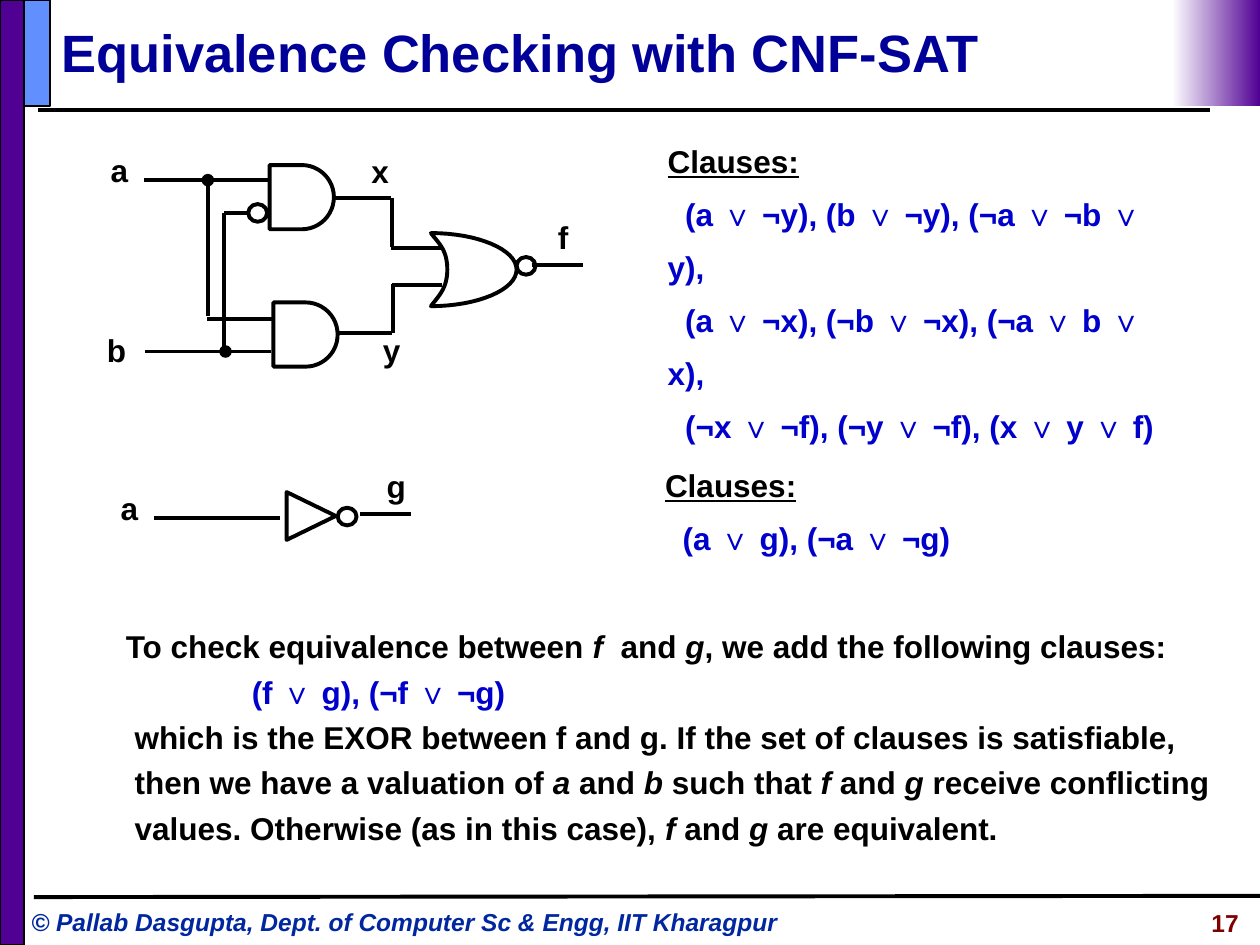
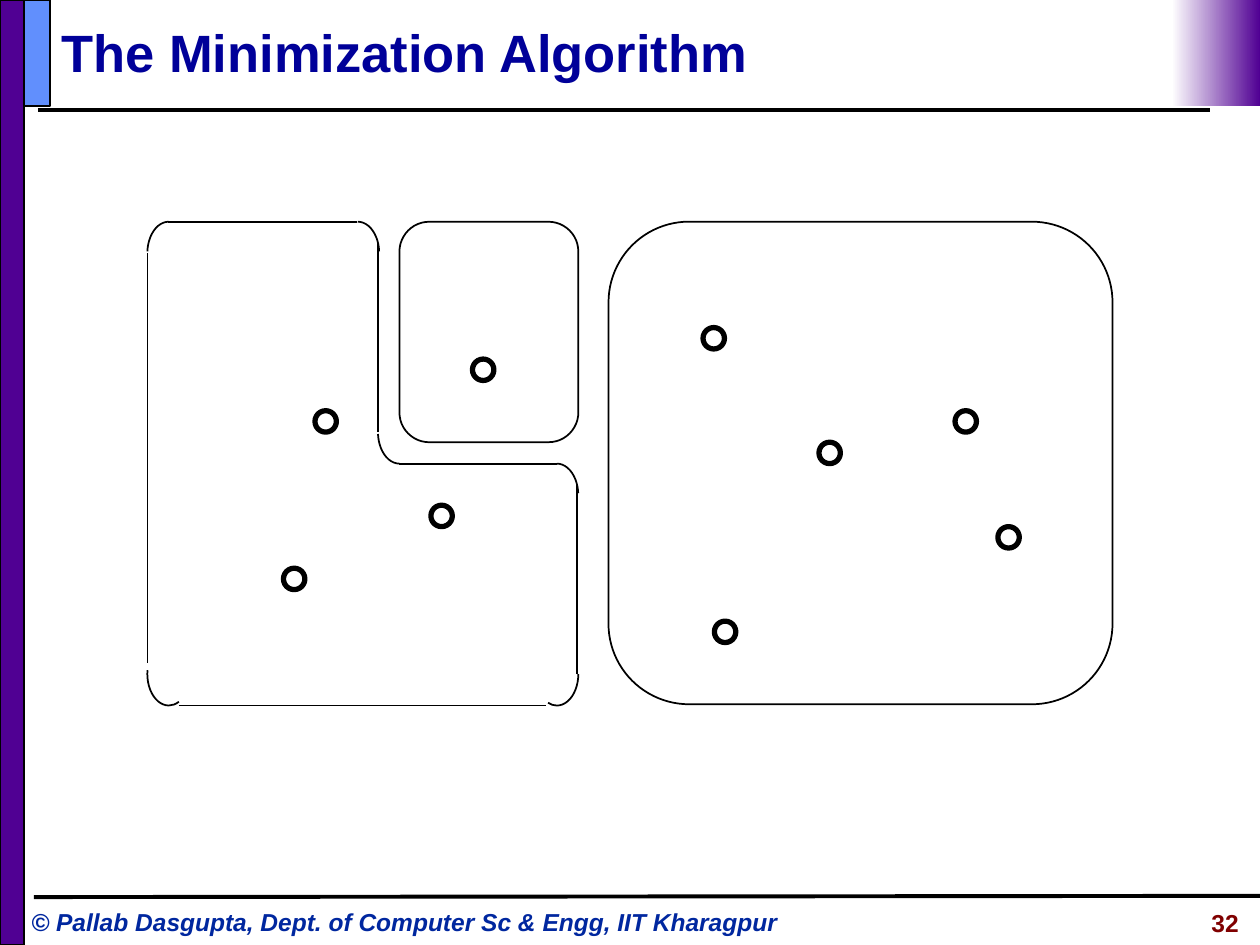
from pptx import Presentation
from pptx.dml.color import RGBColor
from pptx.enum.shapes import MSO_CONNECTOR, MSO_SHAPE
from pptx.enum.text import MSO_ANCHOR, MSO_AUTO_SIZE, PP_ALIGN
from pptx.oxml.ns import qn
from pptx.util import Inches, Pt
from lxml.etree import SubElement

BLACK = RGBColor(0x00, 0x00, 0x00)
WHITE = RGBColor(0xFF, 0xFF, 0xFF)
PURPLE = RGBColor(0x50, 0x00, 0x93)
SKY = RGBColor(0x61, 0x8F, 0xFD)
NAVY = RGBColor(0x00, 0x00, 0x99)
BLUE = RGBColor(0x00, 0x00, 0xCC)
FOOT = RGBColor(0x00, 0x27, 0x9F)
MAROON = RGBColor(0x80, 0x00, 0x00)
FONT = "Arial"
WIRE = 2.25


def add_box(slide, box, wrap=True, grow=True, anchor=MSO_ANCHOR.TOP):
    frame = slide.shapes.add_textbox(*map(Inches, box)).text_frame
    frame.word_wrap = wrap
    frame.auto_size = MSO_AUTO_SIZE.SHAPE_TO_FIT_TEXT if grow else MSO_AUTO_SIZE.NONE
    frame.vertical_anchor = anchor
    return frame


def add_text(frame, words, size=18, color=BLACK, italic=False, under=False,
             align=PP_ALIGN.LEFT, space=None, left=0, first=0):
    para = frame.paragraphs[0]
    if para.runs:
        para = frame.add_paragraph()
    para.alignment = align
    if space:
        para.line_spacing = space
    if left or first:
        props = para._p.get_or_add_pPr()
        props.set("marL", str(Inches(left)))
        props.set("indent", str(Inches(first)))
    for spot, part in enumerate(words.split("*")):
        run = para.add_run()
        run.text = part
        font = run.font
        font.name, font.size, font.bold = FONT, Pt(size), True
        font.italic = italic or spot % 2 == 1
        font.underline = under
        font.color.rgb = color


def style(shape, fill=None, width=None):
    shape.shadow.inherit = False
    if fill is None:
        shape.fill.background()
    else:
        shape.fill.solid()
        shape.fill.fore_color.rgb = fill
    if width is None:
        shape.line.fill.background()
    else:
        shape.line.color.rgb = BLACK
        shape.line.width = Pt(width)
    return shape


def add_shape(slide, kind, box, fill=None, width=None):
    return style(slide.shapes.add_shape(kind, *map(Inches, box)), fill, width)


def add_line(slide, start, end, width=WIRE):
    line = slide.shapes.add_connector(
        MSO_CONNECTOR.STRAIGHT, *map(Inches, (*start, *end)))
    line.line.color.rgb = BLACK
    line.line.width = Pt(width)
    SubElement(line._element.spPr, qn("a:effectLst"))


def add_arc(slide, center, start, end):
    x, y = center
    arc = add_shape(slide, MSO_SHAPE.ARC, (x - 0.17, y - 0.25, 0.34, 0.5), width=1)
    arc.adjustments[0] = start * 0.6
    arc.adjustments[1] = end * 0.6


def add_round(slide, box):
    shape = add_shape(slide, MSO_SHAPE.ROUNDED_RECTANGLE, box, width=1)
    shape.adjustments[0] = 0.167


def curve(a, b, c, d, steps=16):
    for step in range(1, steps + 1):
        t = step / steps
        u = 1 - t
        yield tuple(Inches(u**3 * p + 3 * u * u * t * q + 3 * u * t * t * r + t**3 * s)
                    for p, q, r, s in zip(a, b, c, d))


def add_or(slide):
    top, low, tip = (3.42, 1.85), (3.42, 2.43), (4.1, 2.14)
    inner = (3.55, 2.14)
    bends = [
        (top, (3.48, 1.93), (3.55, 1.98), inner),
        (inner, (3.55, 2.29), (3.48, 2.35), low),
        (low, (3.79, 2.43), (4.1, 2.3), tip),
        (tip, (4.1, 1.98), (3.79, 1.85), top),
    ]
    form = slide.shapes.build_freeform(*map(Inches, top))
    form.add_line_segments([spot for bend in bends for spot in curve(*bend)], close=True)
    style(form.convert_to_shape(), width=WIRE)


def add_slide(deck, title, number):
    slide = deck.slides.add_slide(deck.slide_layouts[6])
    add_line(slide, (0.3, 0.87), (9.6, 0.87))
    add_text(add_box(slide, (0.15, 7.15, 6.37, 0.34)),
             "© Pallab Dasgupta, Dept. of Computer Sc & Engg, IIT Kharagpur",
             size=14, color=FOOT, italic=True)
    add_shape(slide, MSO_SHAPE.RECTANGLE, (0, 0, 0.19, 7.5), PURPLE, 1)
    add_line(slide, (0.27, 7.12), (10, 7.11))
    add_shape(slide, MSO_SHAPE.RECTANGLE, (0.19, 0, 0.21, 0.84), SKY, 1)
    fade = add_shape(slide, MSO_SHAPE.RECTANGLE, (9.3, 0, 0.7, 0.84)).fill
    fade.gradient()
    fade.gradient_angle = 180
    for stop, color in zip(fade.gradient_stops, (PURPLE, WHITE)):
        stop.color.rgb = color
    add_text(add_box(slide, (0.39, 0.1, 9.1, 0.61), grow=False, anchor=MSO_ANCHOR.MIDDLE),
             title, size=30, color=NAVY)
    add_text(add_box(slide, (8.18, 7.16, 1.75, 0.35), grow=False),
             number, size=14, color=MAROON, align=PP_ALIGN.RIGHT)
    return slide


def add_clauses(slide, box, rows):
    frame = add_box(slide, box)
    add_text(frame, "Clauses:", under=True, space=1.4)
    for row in rows:
        add_text(frame, row, color=BLUE, space=1.4, first=0.14)


def draw_circuit(slide):
    add_or(slide)
    for x, y in ((2.14, 1.31), (2.17, 2.4)):
        add_shape(slide, MSO_SHAPE.FLOWCHART_DELAY, (x, y, 0.51, 0.51), width=WIRE)
    for x, y in ((1.97, 1.62), (4.1, 2.04), (2.68, 4.03)):
        add_shape(slide, MSO_SHAPE.OVAL, (x, y, 0.15, 0.14), width=WIRE)
    wires = [
        ((3.51, 1.97), (3.1, 1.97)), ((3.11, 2.26), (3.51, 2.26)),
        ((2.67, 2.64), (3.11, 2.64)), ((3.12, 2.64), (3.12, 2.25)),
        ((2.65, 1.57), (3.1, 1.57)), ((3.11, 1.57), (3.11, 1.96)),
        ((2.15, 2.79), (1.15, 2.79)), ((1.97, 1.69), (1.78, 1.69)),
        ((1.78, 1.69), (1.78, 2.78)), ((2.17, 2.53), (1.64, 2.53)),
        ((1.65, 1.43), (1.65, 2.51)), ((2.14, 1.43), (1.14, 1.43)),
        ((4.22, 2.1), (4.63, 2.1)), ((2.22, 4.11), (1.22, 4.11)),
        ((2.86, 4.08), (3.26, 4.08)),
    ]
    for start, end in wires:
        add_line(slide, start, end)
    for x, y in ((1.6, 1.38), (1.74, 2.74)):
        add_shape(slide, MSO_SHAPE.OVAL, (x, y, 0.1, 0.1), BLACK)
    gate = add_shape(slide, MSO_SHAPE.ISOSCELES_TRIANGLE, (2.28, 3.9, 0.38, 0.39), width=WIRE)
    gate.rotation = 90
    labels = [("a", 0.78, 1.15, 0.34), ("b", 0.75, 2.58, 0.35), ("x", 2.85, 1.16, 0.34),
              ("y", 2.94, 2.58, 0.34), ("f", 4.33, 1.68, 0.28), ("a", 0.86, 3.83, 0.34),
              ("g", 2.97, 3.66, 0.35)]
    for name, x, y, width in labels:
        add_text(add_box(slide, (x, y, width, 0.4), wrap=False), name)


def build_check(deck):
    slide = add_slide(deck, "Equivalence Checking with CNF-SAT", "17")
    draw_circuit(slide)
    add_clauses(slide, (5.2, 0.96, 4.06, 1.78), [
        "(a ∨ ¬y), (b ∨ ¬y), (¬a ∨ ¬b ∨ y),",
        "(a ∨ ¬x), (¬b ∨ ¬x), (¬a ∨ b ∨ x),",
        "(¬x ∨ ¬f), (¬y ∨ ¬f), (x ∨ y ∨ f)",
    ])
    add_clauses(slide, (5.18, 3.53, 4.06, 0.94), ["(a ∨ g), (¬a ∨ ¬g)"])
    frame = add_box(slide, (0.9, 4.93, 8.8, 1.84), wrap=False)
    add_text(frame, "To check equivalence between *f * and *g*, we add the following clauses:")
    add_text(frame, "(f ∨ g), (¬f ∨ ¬g)", color=BLUE, space=1.2, left=1)
    for row in (
        "which is the EXOR between f and g. If the set of clauses is satisfiable,",
        "then we have a valuation of *a *and *b* such that *f *and *g* receive conflicting",
        "values. Otherwise (as in this case), *f *and *g* are equivalent.",
    ):
        add_text(frame, row, space=1.2, left=0.07)


def build_blocks(deck):
    slide = add_slide(deck, "The Minimization Algorithm", "32")
    states = [(2.5, 3.26), (7.58, 3.26), (3.42, 4.01), (2.25, 4.51), (3.75, 2.85),
              (5.67, 4.93), (5.58, 2.6), (6.5, 3.51), (7.92, 4.18)]
    for x, y in states:
        add_shape(slide, MSO_SHAPE.OVAL, (x, y, 0.17, 0.17), width=3)
    add_round(slide, (4.83, 1.76, 4, 3.83))
    add_round(slide, (3.17, 1.76, 1.42, 1.75))
    edges = [((1.17, 2.01), (1.17, 5.26)), ((1.33, 1.76), (2.83, 1.76)),
             ((1.42, 5.6), (4.33, 5.6)), ((4.58, 5.35), (4.58, 3.85)),
             ((3, 1.93), (3, 3.43)), ((3.17, 3.68), (4.42, 3.68))]
    for start, end in edges:
        add_line(slide, start, end, 1)
    bends = [((4.42, 5.35), 0, 107), ((1.34, 5.35), 70, 190), ((3.17, 3.43), 90, 175),
             ((4.42, 3.93), 270, 355), ((2.84, 2.01), 270, 355), ((1.34, 2.01), 185, 270)]
    for center, start, end in bends:
        add_arc(slide, center, start, end)


def main():
    deck = Presentation()
    deck.slide_width, deck.slide_height = Inches(10), Inches(7.5)
    build_check(deck)
    build_blocks(deck)
    deck.save("out.pptx")


if __name__ == "__main__":
    main()
